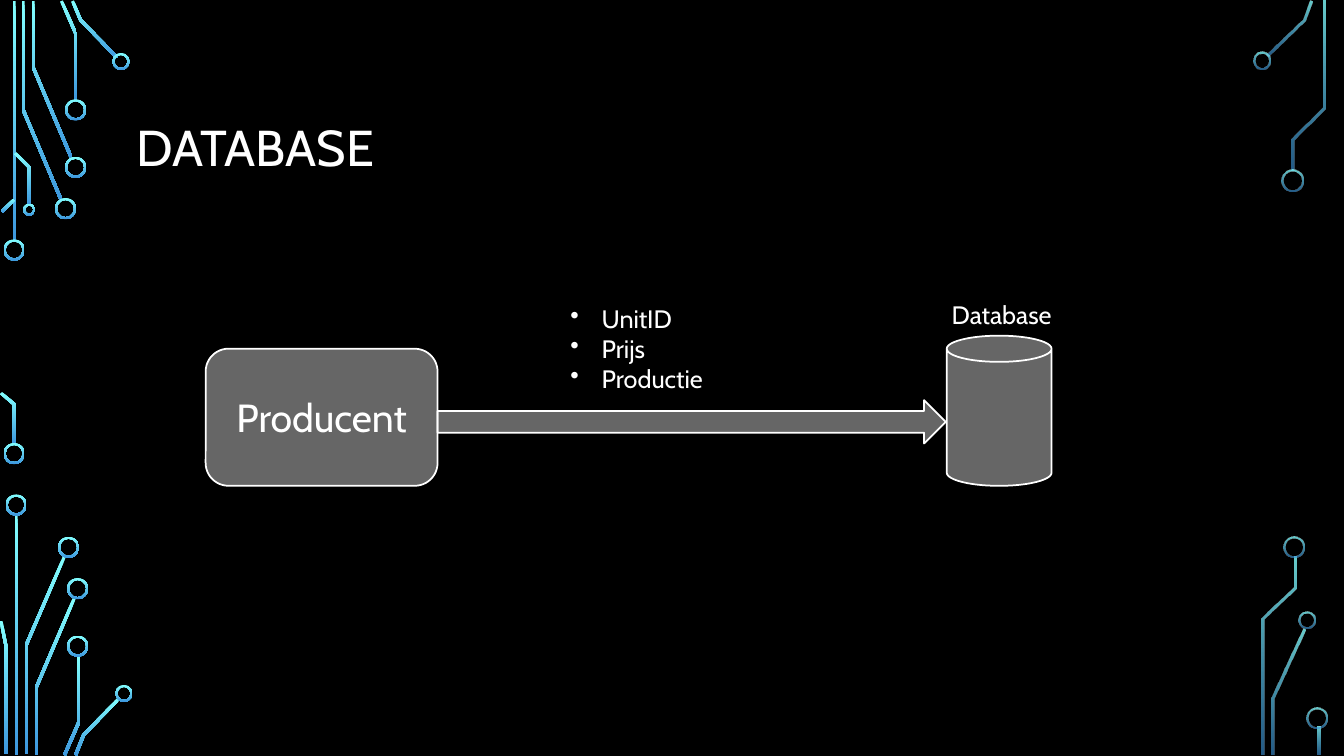
import math

import pptx
import pptx.dml.color
import pptx.enum.shapes
import pptx.enum.text
import pptx.oxml
import pptx.oxml.ns
import pptx.util
from pptx.util import Inches

BLACK = pptx.dml.color.RGBColor(0x00, 0x00, 0x00)
WHITE = pptx.dml.color.RGBColor(0xFF, 0xFF, 0xFF)
CYAN = pptx.dml.color.RGBColor(0x82, 0xFF, 0xFF)
BLUE = pptx.dml.color.RGBColor(0x3D, 0x97, 0xDE)
FONT = "Cabin"
TRACE_WIDTH = 0.03
RING_WIDTH = 0.02
SOLID = (100, 100)
FADED = (80, 60)
SHAPE = pptx.enum.shapes.MSO_SHAPE
ALIGN = pptx.enum.text.PP_ALIGN
ANCHOR = pptx.enum.text.MSO_ANCHOR

# Each circuit: box left and top, gradient opacity, traces as centre lines
# and rings as (centre x, centre y, diameter), both measured from the box.
CIRCUITS = [
    (0, 0, SOLID,
     [[(0.14, 0.01), (0.14, 2.4)],
      [(0.23, 0.01), (0.23, 1.09), (0.61, 1.99)],
      [(0.33, 0.01), (0.33, 0.67), (0.71, 1.57)],
      [(0.61, 0.01), (0.75, 0.33), (0.75, 1)],
      [(0.72, 0.01), (0.8, 0.2), (1.16, 0.57)],
      [(0.02, 2.1), (0.14, 1.98)],
      [(0.15, 1.52), (0.29, 1.66), (0.29, 2.03)],
      [(0.01, 3.9), (0.14, 4.01), (0.14, 4.41)]],
     [(0.14, 2.48, 0.21), (0.65, 2.07, 0.21), (0.75, 1.66, 0.21),
      (0.75, 1.09, 0.21), (1.2, 0.61, 0.17), (0.29, 2.08, 0.12),
      (0.14, 4.5, 0.21)]),
    (0, 4.9, SOLID,
     [[(0.16, 0.2), (0.16, 2.59)],
      [(0.26, 2.58), (0.26, 1.5), (0.64, 0.62)],
      [(0.06, 2.58), (0.06, 1.51), (0.01, 1.26)],
      [(0.36, 2.59), (0.36, 1.92), (0.74, 1.03)],
      [(0.64, 2.59), (0.78, 2.27), (0.78, 1.6)],
      [(0.75, 2.59), (0.83, 2.39), (1.18, 2.03)]],
     [(0.16, 0.11, 0.21), (0.68, 0.53, 0.21), (0.77, 0.94, 0.21),
      (0.77, 1.51, 0.21), (1.23, 1.98, 0.17)]),
    (12.4, 0, FADED,
     [[(0.17, 0.55), (0.53, 0.2), (0.6, 0.01)],
      [(0.42, 1.69), (0.42, 1.38), (0.73, 1.07), (0.73, 0.01)]],
     [(0.12, 0.6, 0.17), (0.42, 1.79, 0.21)]),
    (12.4, 5.3, FADED,
     [[(0.23, 2.19), (0.23, 1.63), (0.53, 0.94)],
      [(0.13, 2.19), (0.13, 0.84), (0.44, 0.53), (0.44, 0.22)],
      [(0.68, 1.91), (0.68, 2.19)]],
     [(0.56, 0.85, 0.17), (0.43, 0.13, 0.21), (0.66, 1.82, 0.21)]),
]


def set_opacity(sp, percents):
    colours = sp._element.spPr.iter(pptx.oxml.ns.qn("a:srgbClr"))
    for colour, percent in zip(colours, percents):
        if percent < 100:
            alpha = pptx.oxml.parse_xml(
                f'<a:alpha {pptx.oxml.ns.nsdecls("a")} val="{percent * 1000}"/>')
            colour.append(alpha)


def glow(sp, opacity):
    """Fill with the vertical cyan to blue gradient, without an outline."""
    sp.shadow.inherit = False
    sp.fill.gradient()
    sp.fill.gradient_angle = 270
    for stop, position, colour in zip(sp.fill.gradient_stops, (0, 1), (CYAN, BLUE)):
        stop.position = position
        stop.color.rgb = colour
    set_opacity(sp, opacity)
    sp.line.fill.background()


def ribbon(points):
    """Outline of a centre line of constant width, with mitred corners."""
    normals = []
    for (x1, y1), (x2, y2) in zip(points, points[1:]):
        length = math.hypot(x2 - x1, y2 - y1)
        normals.append(((y1 - y2) / length, (x2 - x1) / length))
    sides = [], []
    ends = zip(points, normals[:1] + normals, normals + normals[-1:])
    for (x, y), (ax, ay), (bx, by) in ends:
        k = TRACE_WIDTH / 2 / (1 + ax * bx + ay * by)
        dx, dy = k * (ax + bx), k * (ay + by)
        sides[0].append((x + dx, y + dy))
        sides[1].append((x - dx, y - dy))
    return sides[0] + sides[1][::-1]


def add_circuit(s, left, top, opacity, traces, rings):
    for trace in traces:
        outline = [(Inches(left + x), Inches(top + y)) for x, y in ribbon(trace)]
        builder = s.shapes.build_freeform(*outline[0])
        builder.add_line_segments(outline[1:], close=True)
        glow(builder.convert_to_shape(), opacity)
    for x, y, size in rings:
        sp = s.shapes.add_shape(
            SHAPE.DONUT, Inches(left + x - size / 2), Inches(top + y - size / 2),
            Inches(size), Inches(size))
        sp.adjustments[0] = RING_WIDTH / size
        glow(sp, opacity)


def place(sp, left, top, width, height):
    sp.left, sp.top = Inches(left), Inches(top)
    sp.width, sp.height = Inches(width), Inches(height)


def write(sp, text, size, align=ALIGN.LEFT, anchor=ANCHOR.TOP, bullet=False):
    tf = sp.text_frame
    tf.text = text
    tf.word_wrap = True
    tf.auto_size = pptx.enum.text.MSO_AUTO_SIZE.NONE
    tf.vertical_anchor = anchor
    for p in tf.paragraphs:
        p.alignment = align
        p.space_before = pptx.util.Pt(0)
        pPr = p._p.get_or_add_pPr()
        indent = Inches(0.31) if bullet else 0
        pPr.set("marL", str(indent))
        pPr.set("indent", str(-indent))
        mark = 'buChar {} char="•"' if bullet else "buNone {}"
        pPr.append(pptx.oxml.parse_xml(
            f'<a:{mark.format(pptx.oxml.ns.nsdecls("a"))}/>'))
        for r in p.runs:
            r.font.name = FONT
            r.font.size = pptx.util.Pt(size)
            r.font.color.rgb = WHITE


def glass(sp):
    """Translucent white fill with a thin white outline."""
    sp.fill.solid()
    sp.fill.fore_color.rgb = WHITE
    set_opacity(sp, [40])
    sp.line.color.rgb = WHITE
    sp.line.width = pptx.util.Pt(1.25)


def add_title(s, left, top, width, height):
    title = s.shapes.title
    place(title, left, top, width, height)
    write(title, "DATABASE", 36, anchor=ANCHOR.MIDDLE)
    title.text_frame.paragraphs[0].line_spacing = 0.9


def add_text(s, text, left, top, width, height, bullet=False):
    tb = s.shapes.add_textbox(0, 0, 0, 0)
    place(tb, left, top, width, height)
    write(tb, text, 18, bullet=bullet)


def add_flow(s, left, top):
    """Producer, arrow and database in a box 9.05 wide and 1.9 high."""
    producer = s.placeholders[1]
    place(producer, left, top + 0.54, 2.3, 1.36)
    producer._element.spPr.append(pptx.oxml.parse_xml(
        f'<a:prstGeom {pptx.oxml.ns.nsdecls("a")} prst="roundRect"><a:avLst/></a:prstGeom>'))
    glass(producer)
    write(producer, "Producent", 28, ALIGN.CENTER, ANCHOR.MIDDLE)

    for kind, box in (
            (SHAPE.CAN, (left + 7.35, top + 0.41, 1.04, 1.49)),
            (SHAPE.RIGHT_ARROW, (left + 2.3, top + 1.05, 5.04, 0.43))):
        sp = s.shapes.add_shape(kind, 0, 0, 0, 0)
        place(sp, *box)
        sp.shadow.inherit = False
        glass(sp)

    add_text(s, "Database", left + 7.3, top, 1.75, 0.4)
    add_text(s, "UnitID\nPrijs\nProductie", left + 3.52, top + 0.04, 2.9, 1.01, bullet=True)


def main():
    prs = pptx.Presentation()
    prs.slide_width, prs.slide_height = Inches(13.33), Inches(7.5)
    s = prs.slides.add_slide(prs.slide_layouts[1])
    s.background.fill.solid()
    s.background.fill.fore_color.rgb = BLACK
    for circuit in CIRCUITS:
        add_circuit(s, *circuit)
    add_title(s, 1.25, 0.68, 10.83, 1.62)
    add_flow(s, 2.04, 2.92)
    prs.save("out.pptx")


if __name__ == "__main__":
    main()
